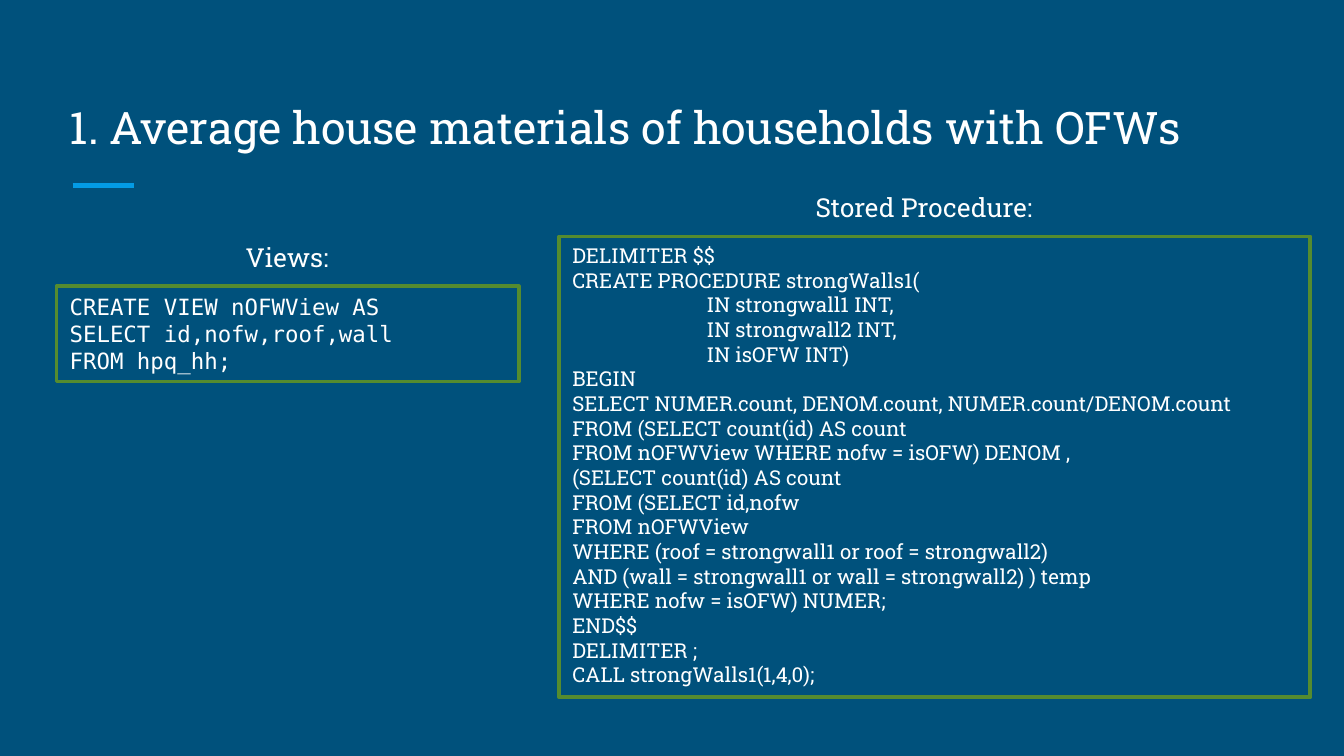
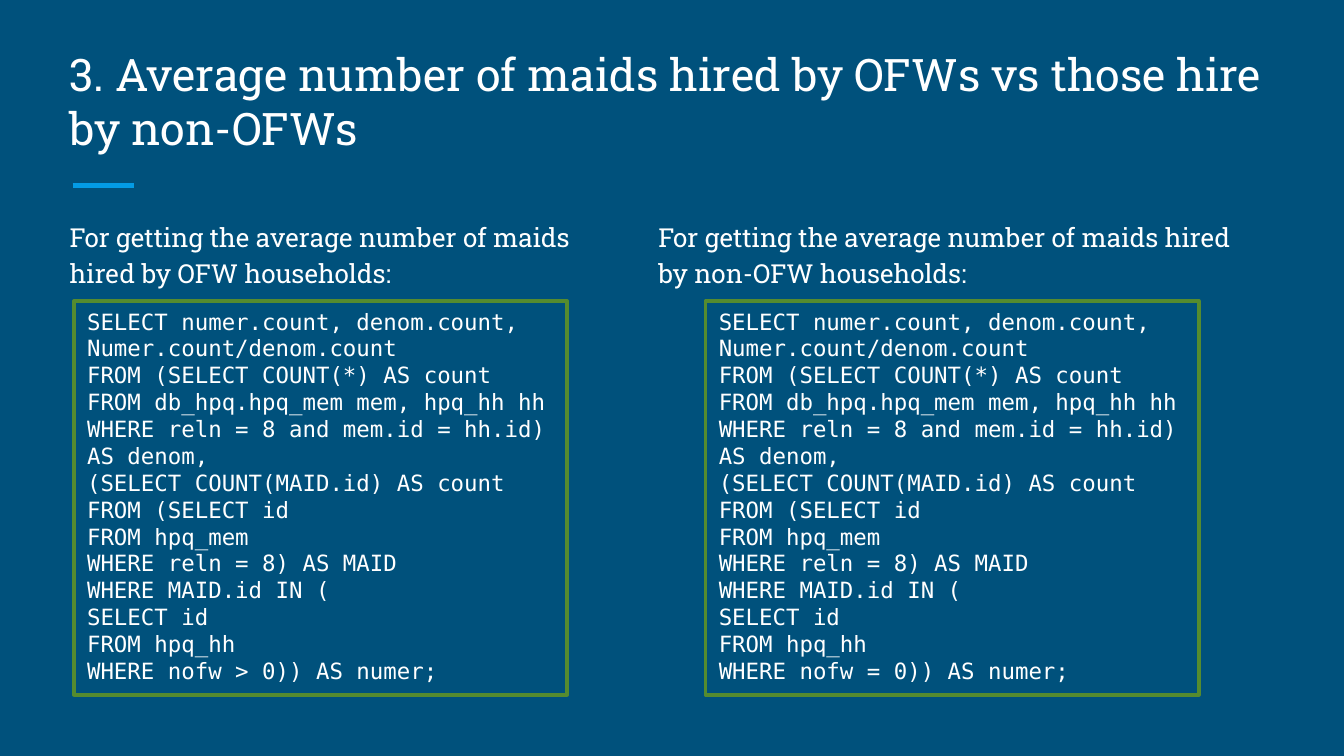
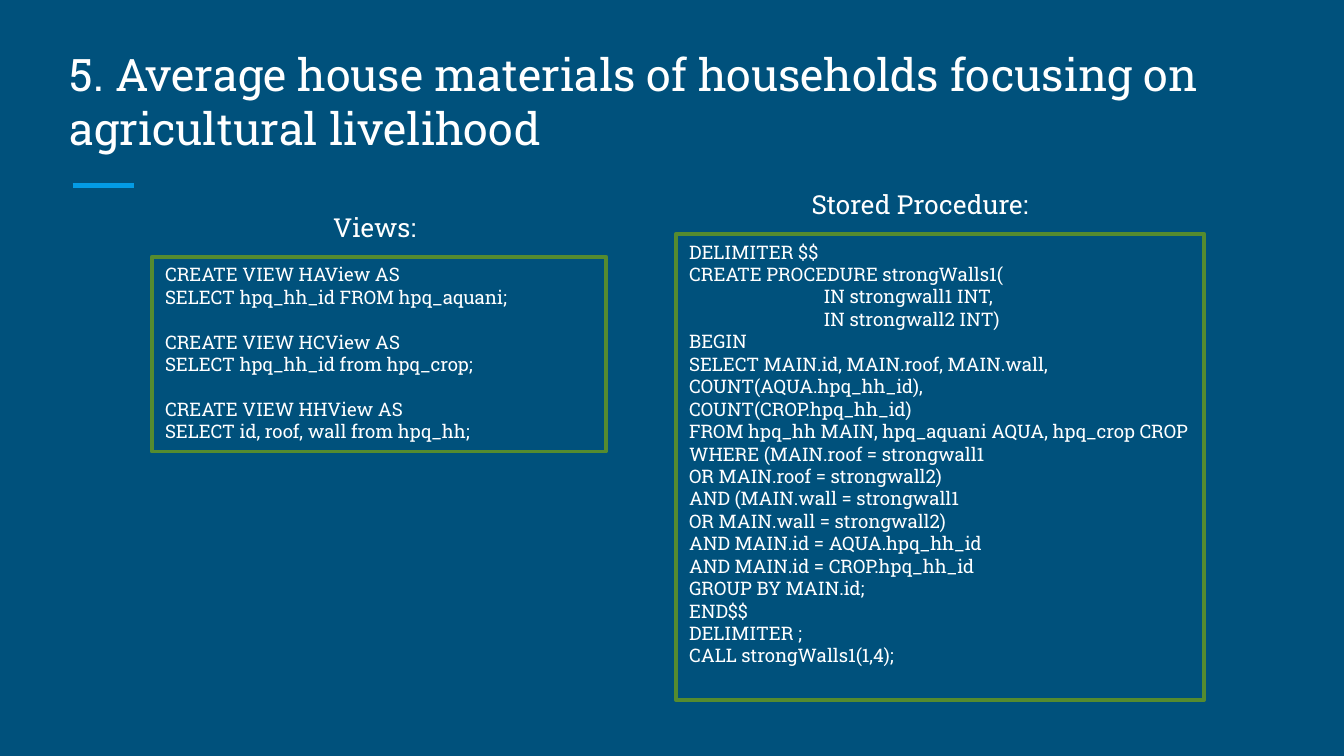
from dataclasses import dataclass

from lxml.etree import SubElement
from pptx import Presentation
from pptx.dml.color import RGBColor
from pptx.enum.shapes import MSO_CONNECTOR, MSO_SHAPE
from pptx.enum.text import MSO_ANCHOR, PP_ALIGN
from pptx.oxml.ns import qn
from pptx.slide import Slide
from pptx.text.text import TextFrame
from pptx.util import Pt

SCALE = 9144  # EMU in one px, at 100 px to the inch
WIDE = 1000
TAB = 100
HEX = {"back": "00517C", "rule": "039BE5", "edge": "558B2F", "text": "FFFFFF"}
SLAB, MONO = "Roboto Slab", "DejaVu Sans Mono"
PAD = {side: 10 * SCALE for side in
       ("margin_left", "margin_top", "margin_right", "margin_bottom")}


@dataclass(frozen=True)
class Style:
    size: int
    face: str = SLAB
    space: float = 1.0
    after: int = 0


@dataclass(frozen=True)
class Box:
    left: int
    top: int
    width: int
    height: int
    text: str
    style: Style


TITLE = Style(24)
LABEL = Style(14, space=1.15, after=16)
CODE = Style(12, MONO)
SMALL = Style(10)


@dataclass(frozen=True)
class Page:
    title: Box
    labels: list[Box]
    codes: list[Box]


def px(count: int) -> int:
    return count * SCALE


def tint(name: str) -> RGBColor:
    return RGBColor.from_string(HEX[name])


def place(box: Box) -> list[int]:
    return [px(n) for n in (box.left, box.top, box.width, box.height)]


def write(frame: TextFrame, box: Box) -> None:
    """Fill the frame line by line; an empty line becomes space before the next."""
    style = box.style
    frame.word_wrap = True
    gap, first = 0, True
    for line in box.text.splitlines():
        if not line:
            gap = style.size * 1.2
            continue
        para = frame.paragraphs[0] if first else frame.add_paragraph()
        first = False
        if "\t" in line:
            stops = SubElement(para._p.get_or_add_pPr(), qn("a:tabLst"))
            SubElement(stops, qn("a:tab"), pos=str(px(TAB)), algn="l")
        form = {"alignment": PP_ALIGN.LEFT, "line_spacing": style.space,
                "space_before": Pt(gap), "space_after": Pt(style.after)}
        for key, value in form.items():
            setattr(para, key, value)
        gap = 0
        run = para.add_run()
        run.text = line
        for key, value in {"name": style.face, "size": Pt(style.size)}.items():
            setattr(run.font, key, value)
        run.font.color.rgb = tint("text")


def add_text(slide: Slide, box: Box, anchor: MSO_ANCHOR = MSO_ANCHOR.TOP) -> None:
    frame = slide.shapes.add_textbox(*place(box)).text_frame
    for key, value in {**PAD, "vertical_anchor": anchor}.items():
        setattr(frame, key, value)
    write(frame, box)


def add_code(slide: Slide, box: Box) -> None:
    shape = slide.shapes.add_shape(MSO_SHAPE.RECTANGLE, *place(box))
    shape.shadow.inherit = False
    shape.fill.solid()
    shape.fill.fore_color.rgb = tint("back")
    shape.line.color.rgb = tint("edge")
    shape.line.width = Pt(2)
    shape.text_frame.vertical_anchor = MSO_ANCHOR.TOP
    write(shape.text_frame, box)


def add_rule(slide: Slide) -> None:
    rule = slide.shapes.add_connector(
        MSO_CONNECTOR.STRAIGHT, px(54), px(138), px(100), px(138))
    rule.line.color.rgb = tint("rule")
    rule.line.width = Pt(3)
    SubElement(rule._element.spPr, qn("a:effectLst"))


def draw(slide: Slide, page: Page) -> None:
    slide.background.fill.solid()
    slide.background.fill.fore_color.rgb = tint("back")
    add_rule(slide)
    add_text(slide, page.title, MSO_ANCHOR.BOTTOM)
    for label in page.labels:
        add_text(slide, label)
    for code in page.codes:
        add_code(slide, code)


def head(text: str, top: int = 50) -> Box:
    return Box(42, top, 915, 75, text, TITLE)


WALL_VIEW = """CREATE VIEW nOFWView AS
SELECT id,nofw,roof,wall
FROM hpq_hh;"""

WALL_PROC = """DELIMITER $$
CREATE PROCEDURE strongWalls1(
\tIN strongwall1 INT,
\tIN strongwall2 INT,
\tIN isOFW INT)
BEGIN
SELECT NUMER.count, DENOM.count, NUMER.count/DENOM.count
FROM (SELECT count(id) AS count
FROM nOFWView WHERE nofw = isOFW) DENOM ,
(SELECT count(id) AS count
FROM (SELECT id,nofw
FROM nOFWView
WHERE (roof = strongwall1 or roof = strongwall2)
AND (wall = strongwall1 or wall = strongwall2) ) temp
WHERE nofw = isOFW) NUMER;
END$$
DELIMITER ;
CALL strongWalls1(1,4,0);"""

MAIDS = """SELECT numer.count, denom.count, Numer.count/denom.count
FROM (SELECT COUNT(*) AS count
FROM db_hpq.hpq_mem mem, hpq_hh hh
WHERE reln = 8 and mem.id = hh.id) AS denom,
(SELECT COUNT(MAID.id) AS count
FROM (SELECT id
FROM hpq_mem
WHERE reln = 8) AS MAID
WHERE MAID.id IN (
SELECT id
FROM hpq_hh
WHERE nofw {sign} 0)) AS numer;"""

FARM_VIEWS = """CREATE VIEW HAView AS
SELECT hpq_hh_id FROM hpq_aquani;

CREATE VIEW HCView AS
SELECT hpq_hh_id from hpq_crop;

CREATE VIEW HHView AS
SELECT id, roof, wall from hpq_hh;"""

FARM_PROC = """DELIMITER $$
CREATE PROCEDURE strongWalls1(
\tIN strongwall1 INT,
   \tIN strongwall2 INT)
BEGIN
SELECT MAIN.id, MAIN.roof, MAIN.wall,
COUNT(AQUA.hpq_hh_id),
COUNT(CROP.hpq_hh_id)
FROM hpq_hh MAIN, hpq_aquani AQUA, hpq_crop CROP
WHERE (MAIN.roof = strongwall1
OR MAIN.roof = strongwall2)
AND (MAIN.wall = strongwall1
OR MAIN.wall = strongwall2)
AND MAIN.id = AQUA.hpq_hh_id
AND MAIN.id = CROP.hpq_hh_id
GROUP BY MAIN.id;
END$$
DELIMITER ;
CALL strongWalls1(1,4);"""

ASK = "For getting the average number of maids hired by {group} households:"

PAGES = [
    Page(
        head("1. Average house materials of households with OFWs", 49),
        [Box(173, 166, 83, 48, "Views:", LABEL),
         Box(597, 129, 197, 48, "Stored Procedure:", LABEL)],
        [Box(42, 213, 344, 71, WALL_VIEW, CODE),
         Box(416, 176, 559, 343, WALL_PROC, Style(11))],
    ),
    Page(
        head("3. Average number of maids hired by OFWs vs those hire by non-OFWs"),
        [Box(42, 151, 437, 73, ASK.format(group="OFW"), LABEL),
         Box(480, 151, 456, 73, ASK.format(group="non-OFW"), LABEL)],
        [Box(left, 224, 367, 293, MAIDS.format(sign=sign), CODE)
         for left, sign in ((55, ">"), (525, "="))],
    ),
    Page(
        head("5. Average house materials of households focusing on "
             "agricultural livelihood"),
        [Box(238, 144, 88, 44, "Views:", LABEL),
         Box(594, 127, 186, 44, "Stored Procedure:", LABEL)],
        [Box(113, 191, 338, 145, FARM_VIEWS, SMALL),
         Box(503, 174, 393, 347, FARM_PROC, SMALL)],
    ),
]


def main() -> None:
    deck = Presentation()
    deck.slide_width = px(WIDE)
    deck.slide_height = px(WIDE) * 9 // 16
    blank = deck.slide_layouts[6]
    for page in PAGES:
        draw(deck.slides.add_slide(blank), page)
    deck.save("out.pptx")


if __name__ == "__main__":
    main()
